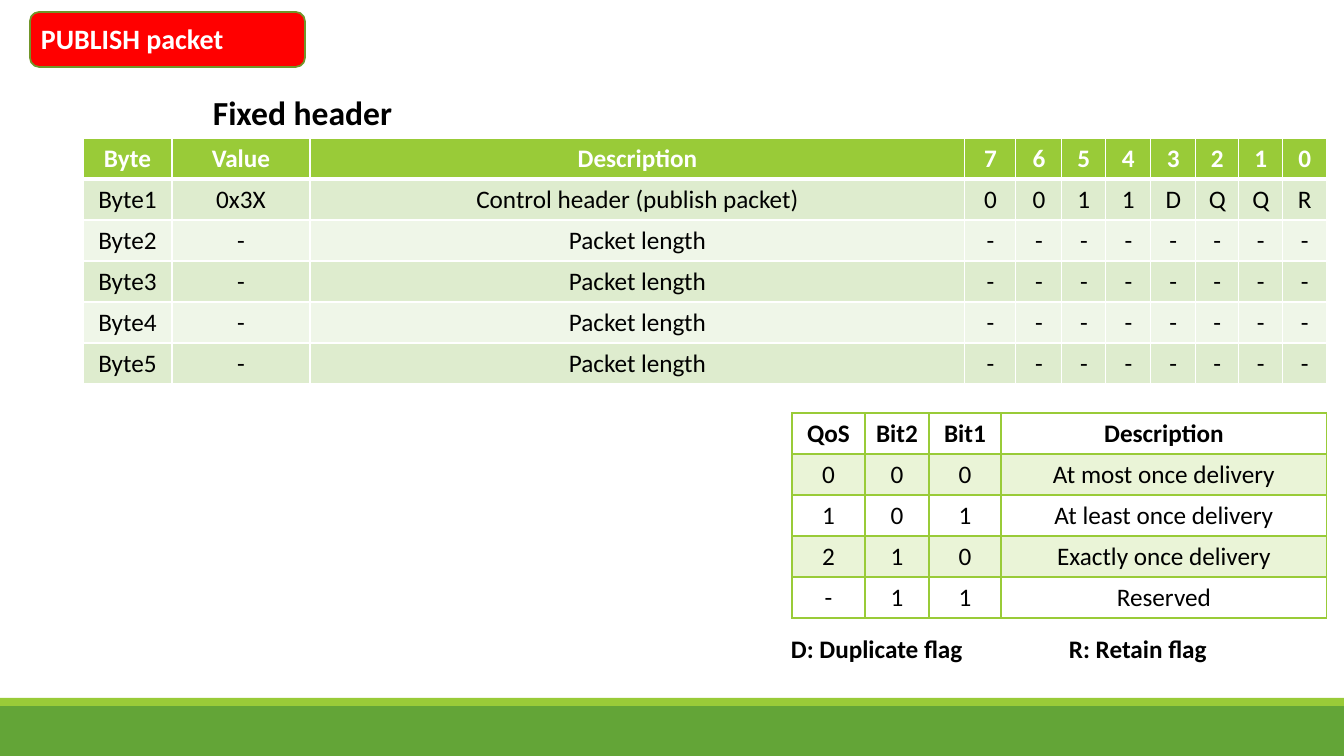
from dataclasses import dataclass

from lxml import etree
from pptx import Presentation
from pptx.dml.color import RGBColor
from pptx.enum.shapes import MSO_SHAPE
from pptx.enum.text import PP_ALIGN
from pptx.oxml.ns import qn
from pptx.util import Pt

RECTANGLE = MSO_SHAPE.RECTANGLE
ROUNDED = MSO_SHAPE.ROUNDED_RECTANGLE
CENTER = PP_ALIGN.CENTER
PX = 914400 / 100.8


@dataclass(frozen=True)
class Theme:
    font: str = "Calibri"
    white: str = "FFFFFF"
    black: str = "000000"
    red: str = "FF0000"
    red_edge: str = "719629"
    lime: str = "99CB38"
    green: str = "63A537"
    band_dark: str = "DEECCE"
    band_light: str = "EFF6E8"
    title_size: int = 20
    heading_size: int = 24
    body_size: int = 18


THEME = Theme()

PAGE_SIZE = (1344, 756)
FOOTER_BARS = [
    ((0, 706, 1344, 50), THEME.green),
    ((0, 698, 1344, 8), THEME.lime),
]
TITLE_PLATE = (30, 12, 275, 55)
LABELS = [
    ("PUBLISH packet", (31, 17, 274, 44), THEME.title_size, THEME.white),
    ("Fixed header", (203, 87, 237, 50), THEME.heading_size, THEME.black),
    ("D: Duplicate flag", (781, 628, 226, 40), THEME.body_size, THEME.black),
    ("R: Retain flag", (1059, 628, 184, 40), THEME.body_size, THEME.black),
]

ROW_HEIGHT = 41
HEADER_TABLE = {
    "corner": (83, 138),
    "columns": [89, 138, 655, 51, 46, 44, 45, 45, 43, 44, 44],
    "rows": [
        ["Byte", "Value", "Description", *"76543210"],
        ["Byte1", "0x3X", "Control header (publish packet)", *"0011DQQR"],
    ] + [[f"Byte{number}", "-", "Packet length", *"-" * 8] for number in range(2, 6)],
    "head_text": THEME.white,
    "head_fill": (THEME.lime, 100),
    "band_fills": [(THEME.band_dark, 100), (THEME.band_light, 100)],
    "border": THEME.white,
    "head_rule": 3,
}
QOS_TABLE = {
    "corner": (792, 413),
    "columns": [73, 64, 72, 326],
    "rows": [
        ["QoS", "Bit2", "Bit1", "Description"],
        ["0", "0", "0", "At most once delivery"],
        ["1", "0", "1", "At least once delivery"],
        ["2", "1", "0", "Exactly once delivery"],
        ["-", "1", "1", "Reserved"],
    ],
    "head_text": THEME.black,
    "head_fill": None,
    "band_fills": [(THEME.lime, 20), None],
    "border": THEME.lime,
    "head_rule": 2,
}


def px(*lengths):
    return [round(length * PX) for length in lengths]


def set_font(para, size, color, bold):
    font = para.font
    font.name = THEME.font
    font.size = Pt(size)
    font.bold = bold
    font.color.rgb = RGBColor.from_string(color)


def add_plate(page, preset, place, color, edge=None):
    plate = page.shapes.add_shape(preset, *px(*place))
    plate.shadow.inherit = False
    plate.fill.solid()
    plate.fill.fore_color.rgb = RGBColor.from_string(color)
    if edge:
        plate.line.color.rgb = RGBColor.from_string(edge)
        plate.line.width = Pt(1.25)
    else:
        plate.line.fill.background()


def add_label(page, text, place, size, color):
    frame = page.shapes.add_textbox(*px(*place)).text_frame
    frame.word_wrap = True
    para = frame.paragraphs[0]
    para.text = text
    set_font(para, size, color, True)


def set_borders(cell, color, widths):
    properties = cell._tc.get_or_add_tcPr()
    for side, width in widths.items():
        line = etree.SubElement(properties, qn(f"a:ln{side}"), w=str(Pt(width)))
        solid = etree.SubElement(line, qn("a:solidFill"))
        etree.SubElement(solid, qn("a:srgbClr"), val=color)


def set_fill(cell, paint):
    if paint is None:
        cell.fill.background()
        return
    color, opacity = paint
    cell.fill.solid()
    cell.fill.fore_color.rgb = RGBColor.from_string(color)
    if opacity < 100:
        tint = cell._tc.tcPr.find(f".//{qn('a:solidFill')}[last()]/{qn('a:srgbClr')}")
        tint = cell._tc.tcPr.findall(qn("a:solidFill"))[-1][0]
        etree.SubElement(tint, qn("a:alpha"), val=str(opacity * 1000))


def add_grid(page, content):
    rows, columns = content["rows"], content["columns"]
    size = (sum(columns), ROW_HEIGHT * len(rows))
    table = page.shapes.add_table(
        len(rows), len(columns), *px(*content["corner"], *size)
    ).table
    table.horz_banding = False
    for column, width in zip(table.columns, px(*columns)):
        column.width = width
    for row_index, texts in enumerate(rows):
        table.rows[row_index].height = px(ROW_HEIGHT)[0]
        is_head = row_index == 0
        paint = content["head_fill"] if is_head else content["band_fills"][(row_index - 1) % 2]
        color = content["head_text"] if is_head else THEME.black
        widths = {
            "L": 1,
            "R": 1,
            "T": content["head_rule"] if row_index == 1 else 1,
            "B": content["head_rule"] if is_head else 1,
        }
        for column_index, text in enumerate(texts):
            cell = table.cell(row_index, column_index)
            para = cell.text_frame.paragraphs[0]
            para.text = text
            para.alignment = CENTER
            set_font(para, THEME.body_size, color, is_head)
            set_borders(cell, content["border"], widths)
            set_fill(cell, paint)


def main():
    deck = Presentation()
    deck.slide_width, deck.slide_height = px(*PAGE_SIZE)
    page = deck.slides.add_slide(deck.slide_layouts[6])
    for place, color in FOOTER_BARS:
        add_plate(page, RECTANGLE, place, color)
    add_plate(page, ROUNDED, TITLE_PLATE, THEME.red, THEME.red_edge)
    for content in (HEADER_TABLE, QOS_TABLE):
        add_grid(page, content)
    for label in LABELS:
        add_label(page, *label)
    deck.save("out.pptx")


if __name__ == "__main__":
    main()
